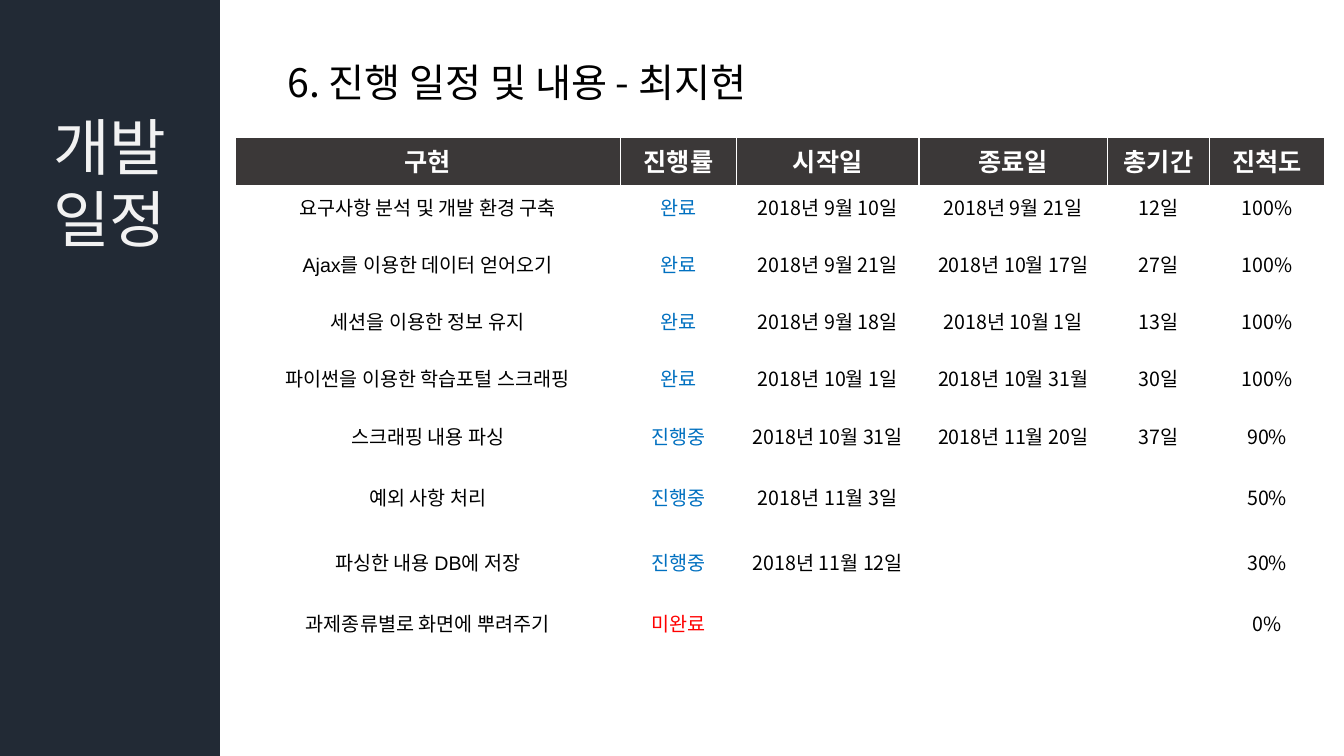
from collections import namedtuple

from lxml import etree
from pptx import Presentation
from pptx import util as u
from pptx.dml.color import RGBColor
from pptx.enum import shapes, text
from pptx.oxml import ns

Box = namedtuple("Box", "left top width height")

COLORS = {
    "white": "FFFFFF",
    "black": "000000",
    "sidebar": "222A35",
    "sidebar_text": "F2F2F2",
    "header": "3B3838",
    "active": "0070C0",
    "open": "FF0000",
}
KOREAN = "Noto Sans CJK KR"
LATIN = "Arial"

SLIDE = Box(0, 0, 33.87, 19.05)
SIDEBAR = Box(0, 0, 5.54, SLIDE.height)
HEADING = Box(6.99, 1.34, 18.49, 1.45)
SCHEDULE = Box(5.92, 3.46, 27.47, 13.36)

COLUMN_WIDTHS = [9.72, 2.92, 4.6, 4.75, 2.57, 2.91]
ROW_HEIGHTS = [1.26, 1.44, 1.44, 1.44, 1.45, 1.55, 1.63, 1.55, 1.6]
HEADERS = ["구현", "진행률", "시작일", "종료일", "총기간", "진척도"]
TASKS = [
    ["요구사항 분석 및 개발 환경 구축", "완료", "2018년 9월 10일", "2018년 9월 21일", "12일", "100%"],
    ["Ajax를 이용한 데이터 얻어오기", "완료", "2018년 9월 21일", "2018년 10월 17일", "27일", "100%"],
    ["세션을 이용한 정보 유지", "완료", "2018년 9월 18일", "2018년 10월 1일", "13일", "100%"],
    ["파이썬을 이용한 학습포털 스크래핑", "완료", "2018년 10월 1일", "2018년 10월 31월", "30일", "100%"],
    ["스크래핑 내용 파싱", "진행중", "2018년 10월 31일", "2018년 11월 20일", "37일", "90%"],
    ["예외 사항 처리", "진행중", "2018년 11월 3일", "", "", "50%"],
    ["파싱한 내용 DB에 저장", "진행중", "2018년 11월 12일", "", "", "30%"],
    ["과제종류별로 화면에 뿌려주기", "미완료", "", "", "", "0%"],
]


def rgb(name):
    return RGBColor.from_string(COLORS[name])


def cm_box(box):
    return [u.Cm(length) for length in box]


def write(para, words, size, color="black", font=KOREAN, bold=False,
          align=text.PP_ALIGN.CENTER):
    """Add one formatted span."""
    para.alignment = align
    span = para.add_run()
    span.text = words
    span.font.size = u.Pt(size)
    span.font.bold = bold
    span.font.name = font
    span.font.color.rgb = rgb(color)


def set_borders(cell, bottom=1):
    """Draw white cell borders; the lines must precede the fill."""
    properties = cell._tc.get_or_add_tcPr()
    widths = {"a:lnL": 1, "a:lnR": 1, "a:lnT": 1, "a:lnB": bottom}
    for position, (tag, width) in enumerate(widths.items()):
        line = etree.Element(ns.qn(tag), w=str(u.Pt(width)))
        fill = etree.SubElement(line, ns.qn("a:solidFill"))
        etree.SubElement(fill, ns.qn("a:srgbClr"), val=COLORS["white"])
        properties.insert(position, line)


def add_heading(page, box):
    title = page.shapes.title
    title.left, title.top, title.width, title.height = cm_box(box)
    frame = title.text_frame
    frame.auto_size = text.MSO_AUTO_SIZE.NONE
    frame.vertical_anchor = text.MSO_ANCHOR.MIDDLE
    write(frame.paragraphs[0], "6. 진행 일정 및 내용 - 최지현", 28,
          align=text.PP_ALIGN.LEFT)


def add_sidebar(page, box):
    panel = page.shapes.add_shape(shapes.MSO_SHAPE.RECTANGLE, *cm_box(box))
    panel.shadow.inherit = False
    panel.fill.solid()
    panel.fill.fore_color.rgb = rgb("sidebar")
    panel.line.fill.background()
    frame = panel.text_frame
    frame.word_wrap = True
    frame.vertical_anchor = text.MSO_ANCHOR.TOP
    frame.margin_top = u.Cm(box.height * 0.145)
    for index, words in enumerate(["개발", "일정"]):
        para = frame.add_paragraph() if index else frame.paragraphs[0]
        para.line_spacing = u.Pt(52)
        write(para, words, 44, "sidebar_text")


def task_format(column, words):
    if column == 0:
        return {"font": LATIN}
    if column == 1:
        return {"color": "open" if words == "미완료" else "active"}
    return {}


def add_schedule(page, box):
    rows = [HEADERS] + TASKS
    table = page.shapes.add_table(len(rows), len(HEADERS), *cm_box(box)).table
    table.horz_banding = False
    for column, width in zip(table.columns, COLUMN_WIDTHS):
        column.width = u.Cm(width)
    for row, height in zip(table.rows, ROW_HEIGHTS):
        row.height = u.Cm(height)
    for row_index, row in enumerate(rows):
        is_header = row_index == 0
        for column_index, words in enumerate(row):
            cell = table.cell(row_index, column_index)
            cell.fill.solid()
            cell.fill.fore_color.rgb = rgb("header" if is_header else "white")
            set_borders(cell, bottom=3 if is_header else 1)
            para = cell.text_frame.paragraphs[0]
            if is_header:
                write(para, words, 18, "white", bold=True)
                continue
            # Two-line dates may reach the lower edge of these tight rows.
            cell.margin_bottom = u.Cm(-0.13)
            if words:
                write(para, words, 14, **task_format(column_index, words))


def main():
    deck = Presentation()
    deck.slide_width, deck.slide_height = u.Cm(SLIDE.width), u.Cm(SLIDE.height)
    page = deck.slides.add_slide(deck.slide_layouts.get_by_name("Title Only"))
    add_heading(page, HEADING)
    add_schedule(page, SCHEDULE)
    add_sidebar(page, SIDEBAR)
    deck.save("out.pptx")


if __name__ == "__main__":
    main()
